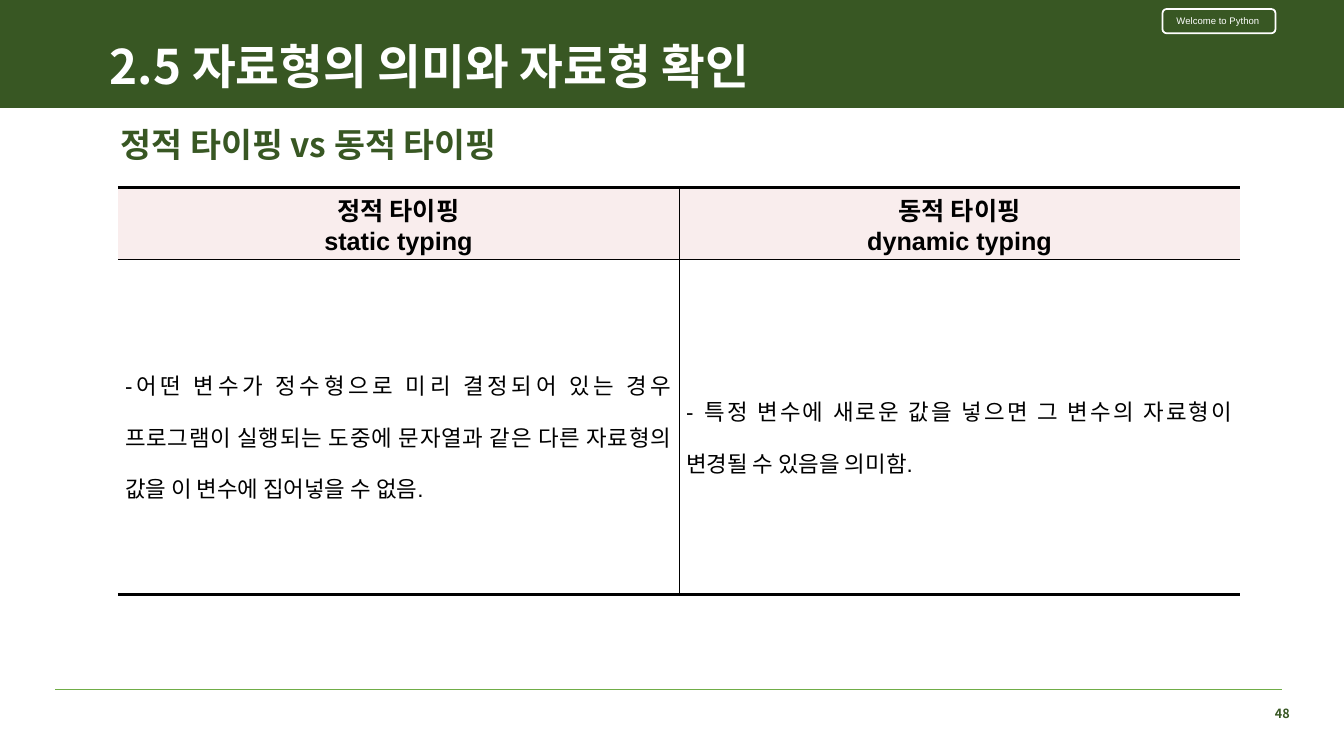
from dataclasses import dataclass

import lxml.etree
import pptx
import pptx.dml.color
import pptx.enum.shapes
import pptx.enum.text
import pptx.oxml.ns
import pptx.util

Inches = pptx.util.Inches
Pt = pptx.util.Pt
Align = pptx.enum.text.PP_ALIGN
Anchor = pptx.enum.text.MSO_ANCHOR
qn = pptx.oxml.ns.qn

GREEN, WHITE, BLACK, PINK, RULE = "385723", "FFFFFF", "000000", "F9EDED", "70AD47"
KOREAN = "Noto Sans CJK KR"
THICK, MEDIUM, THIN = 2.25, 0.56, 0.28


@dataclass
class Style:
    size: float
    color: str
    bold: bool = True
    font: str = KOREAN
    align: Align = Align.LEFT
    spacing: float = 1.0


@dataclass
class Label:
    text: str
    left: float
    top: float
    width: float
    height: float
    style: Style
    anchor: Anchor = Anchor.TOP


@dataclass
class Typing:
    heading: str
    meaning: str


LABELS = [
    Label("Welcome to Python", 11.57, 0.1, 1.12, 0.21, Style(6.8, WHITE, False, "Arial")),
    Label("48", 6.22, 6.95, 6.67, 0.25, Style(9, GREEN, align=Align.RIGHT)),
    Label("2.5 자료형의 의미와 자료형 확인", 0.99, 0.38, 11.13, 0.61,
          Style(34, WHITE, spacing=0.9), Anchor.MIDDLE),
    Label("정적 타이핑 vs 동적 타이핑", 1.1, 1.23, 11.13, 0.63, Style(24, GREEN, spacing=0.9)),
]
TYPINGS = [
    Typing("정적 타이핑\nstatic typing",
           "-어떤 변수가 정수형으로 미리 결정되어 있는 경우 프로그램이 실행되는 도중에 "
           "문자열과 같은 다른 자료형의 값을 이 변수에 집어넣을 수 없음."),
    Typing("동적 타이핑\ndynamic typing",
           "- 특정 변수에 새로운 값을 넣으면 그 변수의 자료형이 변경될 수 있음을 의미함."),
]
HEADING = Style(18, BLACK, True, "Arial", Align.CENTER)
MEANING = Style(16, BLACK, False, "Arial", Align.JUSTIFY, 1.6)


def rgb(color: str) -> pptx.dml.color.RGBColor:
    return pptx.dml.color.RGBColor.from_string(color)


def write(frame, text: str, style: Style) -> None:
    frame.text = text
    for paragraph in frame.paragraphs:
        paragraph.alignment = style.align
        paragraph.line_spacing = style.spacing
        for run in paragraph.runs:
            run.font.size = Pt(style.size)
            run.font.bold = style.bold
            run.font.name = style.font
            run.font.color.rgb = rgb(style.color)
            properties = run._r.get_or_add_rPr()
            lxml.etree.SubElement(properties, qn("a:ea"), typeface=KOREAN)


def add_label(slide, label: Label) -> None:
    box = slide.shapes.add_textbox(Inches(label.left), Inches(label.top),
                                   Inches(label.width), Inches(label.height))
    box.text_frame.word_wrap = True
    box.text_frame.vertical_anchor = label.anchor
    write(box.text_frame, label.text, label.style)


def add_border(cell, side: str, width: float) -> None:
    """Draw one cell edge; a width of zero hides it."""
    line = lxml.etree.SubElement(cell._tc.get_or_add_tcPr(), qn(f"a:ln{side}"),
                                 w=str(int(Pt(width))))
    if width:
        fill = lxml.etree.SubElement(line, qn("a:solidFill"))
        lxml.etree.SubElement(fill, qn("a:srgbClr"), val=BLACK)
    else:
        lxml.etree.SubElement(line, qn("a:noFill"))


def fill_cell(cell, text: str, style: Style, borders: dict[str, float]) -> None:
    cell.margin_left = cell.margin_right = Inches(0.07)
    cell.margin_top = cell.margin_bottom = Inches(0.02)
    cell.vertical_anchor = Anchor.MIDDLE
    write(cell.text_frame, text, style)
    for side, width in borders.items():
        add_border(cell, side, width)


def add_banner(slide) -> None:
    shapes = pptx.enum.shapes.MSO_SHAPE
    banner = slide.shapes.add_shape(shapes.RECTANGLE, 0, 0, Inches(13.33), Inches(1.07))
    banner.shadow.inherit = False
    banner.fill.solid()
    banner.fill.fore_color.rgb = rgb(GREEN)
    banner.line.fill.background()

    badge = slide.shapes.add_shape(shapes.ROUNDED_RECTANGLE, Inches(11.53), Inches(0.09),
                                   Inches(1.12), Inches(0.24))
    badge.shadow.inherit = False
    badge.fill.background()
    badge.line.color.rgb = rgb(WHITE)
    badge.line.width = Pt(1.25)


def add_footer_rule(slide) -> None:
    rule = slide.shapes.add_connector(pptx.enum.shapes.MSO_CONNECTOR.STRAIGHT,
                                      Inches(0.55), Inches(6.84), Inches(12.72), Inches(6.84))
    rule.line.color.rgb = rgb(RULE)
    rule.line.width = Pt(0.5)
    lxml.etree.SubElement(rule._element.spPr, qn("a:effectLst"))


def add_comparison(slide) -> None:
    comparison = slide.shapes.add_table(2, len(TYPINGS), Inches(1.17), Inches(1.86),
                                        Inches(11.13), Inches(4.04)).table
    comparison.first_row = comparison.horz_banding = False
    comparison.rows[0].height = Inches(0.71)
    comparison.rows[1].height = Inches(3.33)
    for column, typing in enumerate(TYPINGS):
        sides = {"L": THIN if column > 0 else 0,
                 "R": THIN if column < len(TYPINGS) - 1 else 0}
        heading, meaning = comparison.cell(0, column), comparison.cell(1, column)
        fill_cell(heading, typing.heading, HEADING, {**sides, "T": THICK, "B": MEDIUM})
        heading.fill.solid()
        heading.fill.fore_color.rgb = rgb(PINK)
        fill_cell(meaning, typing.meaning, MEANING, {**sides, "T": MEDIUM, "B": THICK})
        meaning.fill.background()


def main() -> None:
    deck = pptx.Presentation()
    deck.slide_width, deck.slide_height = Inches(13.33), Inches(7.5)
    slide = deck.slides.add_slide(deck.slide_layouts[6])
    # Frame of the page
    add_banner(slide)
    add_footer_rule(slide)
    # Headings and page number
    for label in LABELS:
        add_label(slide, label)
    # Static against dynamic typing
    add_comparison(slide)
    deck.save("out.pptx")


if __name__ == "__main__":
    main()
